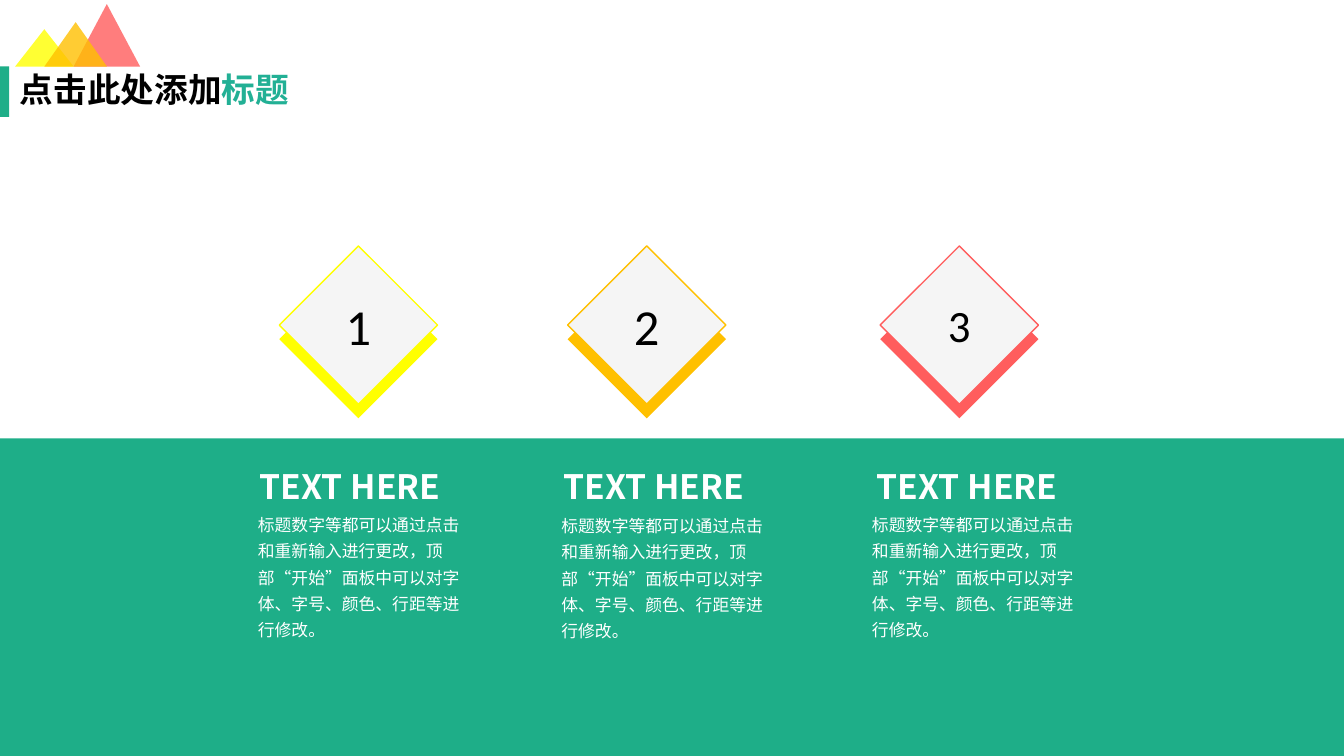
import pptx
import pptx.util
import pptx.dml.color
import pptx.enum.shapes
import pptx.enum.text
import pptx.oxml.ns
import lxml.etree
from dataclasses import dataclass

Inches = pptx.util.Inches
SHAPE = pptx.enum.shapes.MSO_SHAPE
ALIGN = pptx.enum.text.PP_ALIGN
ANCHOR = pptx.enum.text.MSO_ANCHOR
qn = pptx.oxml.ns.qn


@dataclass
class Theme:
    green: str = "1EAE88"
    teal: str = "22B095"
    yellow: str = "FFFF00"
    amber: str = "FFC000"
    coral: str = "FF5D5D"
    pale: str = "F5F5F5"
    black: str = "000000"
    white: str = "FFFFFF"
    heading_size: int = 24
    body_size: int = 12
    text_font: str = "Noto Sans CJK SC"
    number_font: str = "Calibri"


theme = Theme()
rgb = pptx.dml.color.RGBColor.from_string

deck = pptx.Presentation()
deck.slide_width = Inches(13.33)
deck.slide_height = Inches(7.5)
page = deck.slides.add_slide(deck.slide_layouts[6])


def add_figure(kind, left, top, width, height, color, outline=None):
    figure = page.shapes.add_shape(
        kind, Inches(left), Inches(top), Inches(width), Inches(height))
    figure.shadow.inherit = False
    figure.fill.solid()
    figure.fill.fore_color.rgb = rgb(color)
    if outline:
        figure.line.color.rgb = rgb(outline)
        figure.line.width = pptx.util.Pt(1)
    else:
        figure.line.fill.background()
    return figure


def add_text(left, top, width, height, parts, size, bold=False, spacing=1.0, wrap=True):
    box = page.shapes.add_textbox(
        Inches(left), Inches(top), Inches(width), Inches(height))
    box.text_frame.word_wrap = wrap
    para = box.text_frame.paragraphs[0]
    para.line_spacing = spacing
    for text, color in parts:
        span = para.add_run()
        span.text = text
        span.font.name = theme.text_font
        span.font.size = pptx.util.Pt(size)
        span.font.bold = bold
        span.font.color.rgb = rgb(color)
        east_asian = lxml.etree.SubElement(span._r.rPr, qn("a:ea"))
        east_asian.set("typeface", theme.text_font)
    return box


add_figure(SHAPE.RECTANGLE, 0, 0.66, 0.09, 0.5, theme.green)
add_figure(SHAPE.RECTANGLE, 0, 4.35, 13.33, 3.15, theme.green)

peak_base = 0.66
for left, width, height, color in (
    (0.73, 0.66, 0.62, theme.coral),
    (0.15, 0.58, 0.37, theme.yellow),
    (0.44, 0.62, 0.44, theme.amber),
):
    peak = add_figure(SHAPE.ISOSCELES_TRIANGLE, left, peak_base - height, width, height, color)
    tint = peak._element.spPr.find(qn("a:solidFill"))[0]
    lxml.etree.SubElement(tint, qn("a:alpha")).set("val", "80000")

title = add_text(0.1, 0.68, 3.04, 0.46,
                 [("点击此处添加", theme.black), ("标题", theme.teal)],
                 theme.heading_size, bold=True, spacing=0.9)
title.text_frame.vertical_anchor = ANCHOR.MIDDLE

body = "标题数字等都可以通过点击和重新输入进行更改，顶部“开始”面板中可以对字体、字号、颜色、行距等进行修改。"
diamond_size = 1.57
for number, color, number_size, diamond_left, heading_left, body_left, body_top in (
    ("1", theme.yellow, 36, 2.77, 2.48, 2.46, 5),
    ("2", theme.amber, 36, 5.63, 5.49, 5.47, 5.01),
    ("3", theme.coral, 32, 8.73, 8.6, 8.55, 5),
):
    add_text(heading_left, 4.57, 2.06, 0.5, [("TEXT HERE", theme.white)],
             theme.heading_size, bold=True, wrap=False)
    add_text(body_left, body_top, 2.35, 1.41, [(body, theme.white)],
             theme.body_size, spacing=1.3)
    add_figure(SHAPE.DIAMOND, diamond_left, 2.58, diamond_size, diamond_size, color)
    diamond = add_figure(SHAPE.DIAMOND, diamond_left, 2.44, diamond_size, diamond_size,
                         theme.pale, color)
    diamond.text_frame.vertical_anchor = ANCHOR.MIDDLE
    para = diamond.text_frame.paragraphs[0]
    para.text = number
    para.alignment = ALIGN.CENTER
    para.font.name = theme.number_font
    para.font.size = pptx.util.Pt(number_size)
    para.font.color.rgb = rgb(theme.black)

deck.save("out.pptx")
